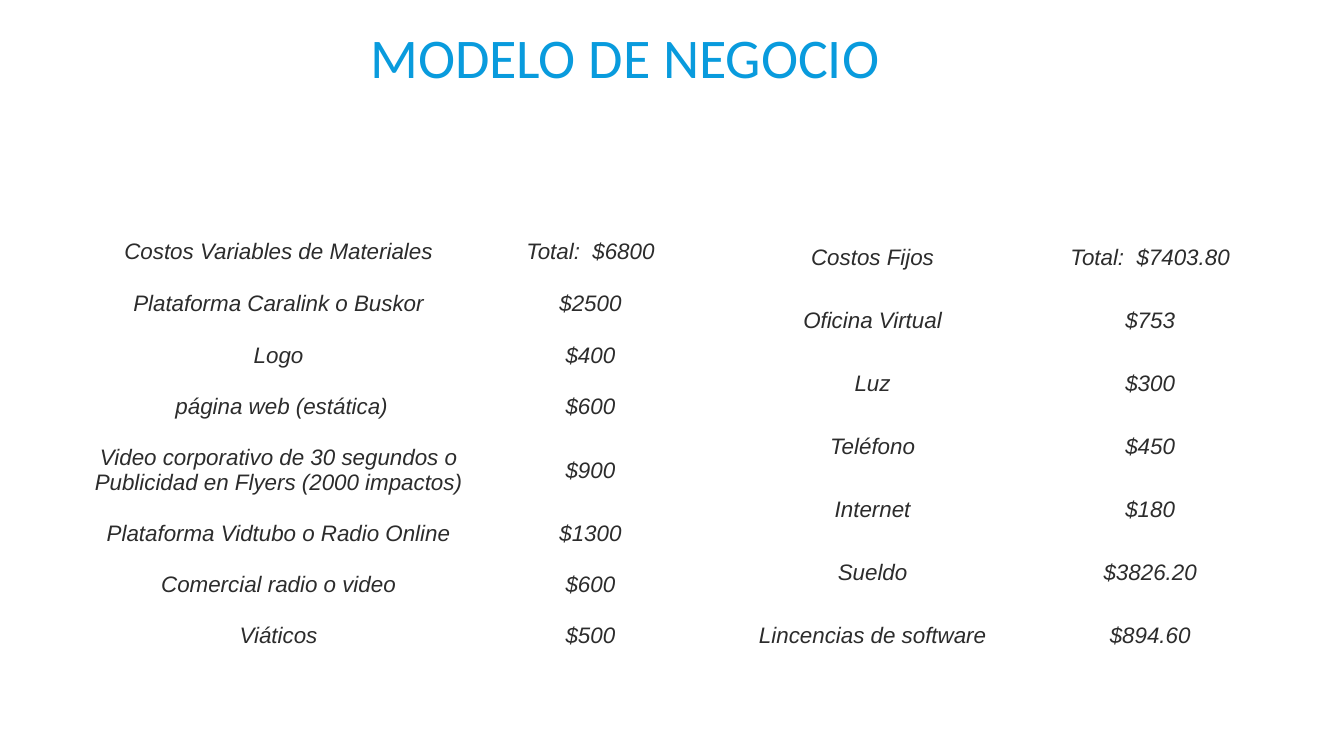
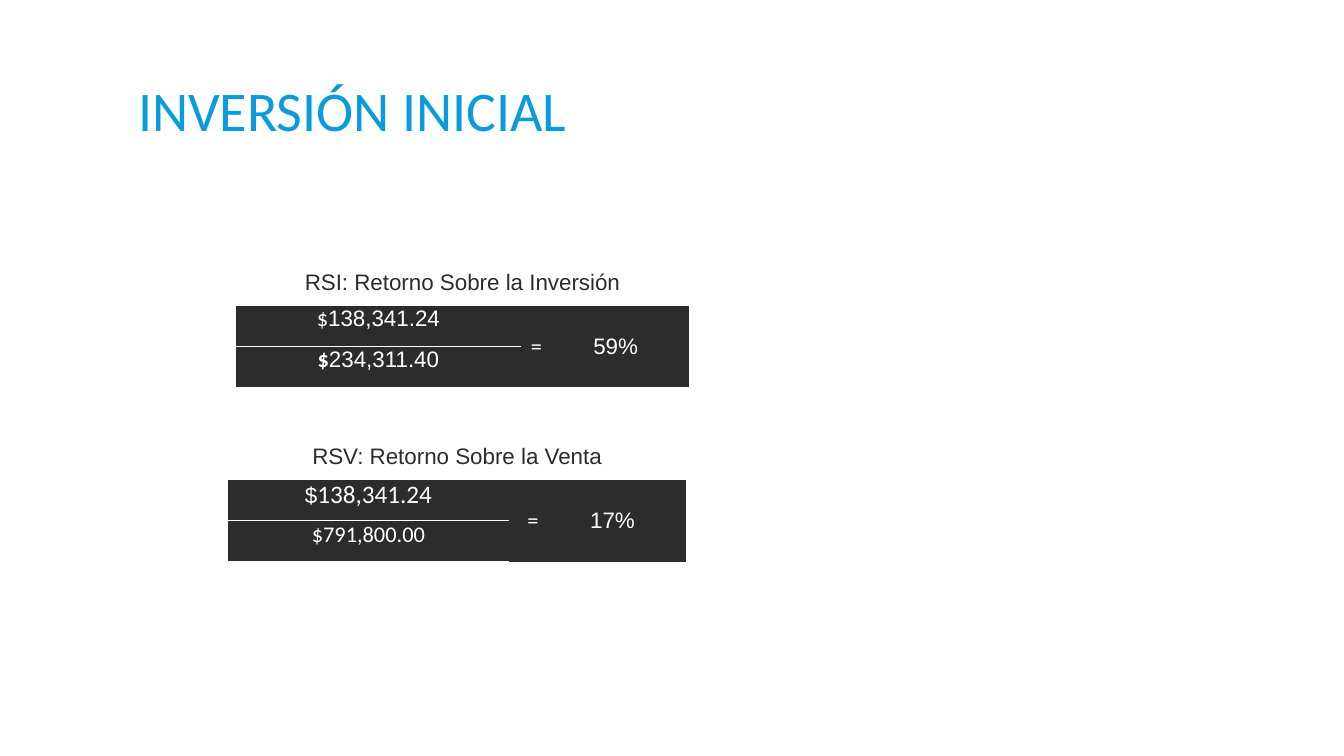
from dataclasses import dataclass

import pptx
import pptx.dml.color
import pptx.enum.text
import pptx.oxml
import pptx.oxml.ns
import pptx.util

Cm = pptx.util.Cm
Pt = pptx.util.Pt
ALIGN = pptx.enum.text.PP_ALIGN
ANCHOR = pptx.enum.text.MSO_ANCHOR

# Shared look
BLUE, DARK, WHITE = "099BDD", "2C2C2C", "FFFFFF"
HEADING_FONT, BODY_FONT = "Calibri", "Arial"
BODY_SIZE = 16
NO_STYLE = "{2D5ABB26-0587-4C30-8999-92F81FD0307C}"


@dataclass(frozen=True)
class Span:
    text: str
    font: str = BODY_FONT
    size: int = BODY_SIZE
    bold: bool = False


@dataclass(frozen=True)
class CellStyle:
    fill: str
    color: str
    italic: bool = False
    opacity: int = 100
    inset: float = 0
    align: ALIGN = ALIGN.CENTER
    anchor: ANCHOR = ANCHOR.MIDDLE


@dataclass(frozen=True)
class CostTable:
    left: float
    columns: list[float]
    heights: list[float]
    rows: list[tuple[str, str]]


@dataclass(frozen=True)
class Ratio:
    left: float
    top: float
    columns: list[float]
    heading: str
    numerator: list[Span]
    denominator: list[Span]
    result: str


COST = CellStyle(WHITE, DARK, italic=True, opacity=50, inset=0.03)
RATIO_HEADING = CellStyle(WHITE, DARK)
RATIO_RESULT = CellStyle(DARK, WHITE)
RATIO_EQUALS = CellStyle(DARK, WHITE, align=ALIGN.RIGHT)
RATIO_AMOUNT = CellStyle(DARK, WHITE, anchor=ANCHOR.TOP)

COST_TOP = 5.69
COSTS = [
    CostTable(1.75, [10.54, 5.18], [1.3, 1.35, 1.27, 1.3, 1.9, 1.27, 1.3, 1.3], [
        ("Costos Variables de Materiales", "Total:  $6800"),
        ("Plataforma Caralink o Buskor", "$2500"),
        ("Logo", "$400"),
        (" página web (estática)", "$600"),
        ("Video corporativo de 30 segundos o Publicidad en Flyers (2000 impactos)", "$900"),
        ("Plataforma Vidtubo o Radio Online", "$1300"),
        ("Comercial radio o video", "$600"),
        ("Viáticos", "$500"),
    ]),
    CostTable(18.03, [7.92, 6.07], [1.59] * 7, [
        ("Costos Fijos", "Total:  $7403.80"),
        ("Oficina Virtual", "$753"),
        ("Luz", "$300"),
        ("Teléfono", "$450"),
        ("Internet", "$180"),
        ("Sueldo", "$3826.20"),
        ("Lincencias de software", "$894.60"),
    ]),
]

RATIO_HEIGHTS = [1.17, 1.03, 1.03]
RATIOS = [
    Ratio(5.94, 6.53, [7.19, 0.53, 3.71], "RSI: Retorno Sobre la Inversión",
          [Span("$", HEADING_FONT), Span("138,341.24")],
          [Span("$", HEADING_FONT, bold=True), Span("234,311.40")], "59%"),
    Ratio(5.74, 10.92, [7.09, 0.74, 3.73], "RSV: Retorno Sobre la Venta",
          [Span("$"), Span("138,341.24", HEADING_FONT, 18)],
          [Span("$791,800.00", HEADING_FONT)], "17%"),
]


def rgb(color: str) -> pptx.dml.color.RGBColor:
    return pptx.dml.color.RGBColor.from_string(color)


def set_font(font, span: Span) -> None:
    font.name, font.size, font.bold = span.font, Pt(span.size), span.bold


def write(para, spans: list[Span], color: str, italic: bool = False) -> None:
    """Set the paragraph font, and run fonts only where the runs differ."""
    set_font(para.font, spans[0])
    para.font.color.rgb = rgb(color)
    para.font.italic = italic
    for span in spans:
        run = para.add_run()
        run.text = span.text
        if len(spans) > 1:
            set_font(run.font, span)


def add_title(page, text: str, left: float, top: float, width: float) -> None:
    box = page.shapes.add_textbox(Cm(left), Cm(top), Cm(width), Cm(4.19))
    frame = box.text_frame
    frame.word_wrap = True
    frame.vertical_anchor = ANCHOR.MIDDLE
    frame.margin_left = frame.margin_right = Cm(0.13)
    frame.margin_top = frame.margin_bottom = Cm(0.13)
    para = frame.paragraphs[0]
    para.line_spacing = 0.85
    write(para, [Span(text, HEADING_FONT, 40)], BLUE)


def add_table(page, left: float, top: float, columns: list[float], heights: list[float]):
    frame = page.shapes.add_table(len(heights), len(columns), Cm(left), Cm(top),
                                  Cm(sum(columns)), Cm(sum(heights)))
    table = frame.table
    table.first_row = table.horz_banding = False
    table._tbl.tblPr.find(pptx.oxml.ns.qn("a:tableStyleId")).text = NO_STYLE
    for column, width in zip(table.columns, columns):
        column.width = Cm(width)
    for row, height in zip(table.rows, heights):
        row.height = Cm(height)
    return table


def fill_cell(cell, spans: list[Span], style: CellStyle, edges: str = "",
              line_width: float = 1) -> None:
    """Edges holds letters in the order L, R, T, B."""
    properties = cell._tc.get_or_add_tcPr()
    for edge in edges:
        properties.append(pptx.oxml.parse_xml(
            f'<a:ln{edge} {pptx.oxml.ns.nsdecls("a")} w="{Pt(line_width)}"><a:solidFill>'
            f'<a:srgbClr val="{WHITE}"/></a:solidFill></a:ln{edge}>'))
    cell.fill.solid()
    cell.fill.fore_color.rgb = rgb(style.fill)
    if style.opacity < 100:
        color = properties.find(".//" + pptx.oxml.ns.qn("a:solidFill") + "[last()]/")
        color = properties.find(pptx.oxml.ns.qn("a:solidFill"))[0]
        color.append(pptx.oxml.parse_xml(
            f'<a:alpha {pptx.oxml.ns.nsdecls("a")} val="{style.opacity * 1000}"/>'))
    cell.margin_left = cell.margin_right = Cm(style.inset)
    cell.margin_top = cell.margin_bottom = Cm(style.inset)
    cell.vertical_anchor = style.anchor
    para = cell.text_frame.paragraphs[0]
    para.alignment = style.align
    write(para, spans, style.color, style.italic)


def add_costs(page, costs: CostTable) -> None:
    table = add_table(page, costs.left, COST_TOP, costs.columns, costs.heights)
    last = len(costs.rows) - 1
    for index, row in enumerate(costs.rows):
        ends = ("T" if index == 0 else "") + ("B" if index == last else "")
        for column, (side, text) in enumerate(zip("LR", row)):
            fill_cell(table.cell(index, column), [Span(text)], COST, side + ends, 2)


def add_ratio(page, ratio: Ratio) -> None:
    table = add_table(page, ratio.left, ratio.top, ratio.columns, RATIO_HEIGHTS)
    table.cell(0, 0).merge(table.cell(0, 2))
    for column in (1, 2):
        table.cell(1, column).merge(table.cell(2, column))
    fill_cell(table.cell(0, 0), [Span(ratio.heading)], RATIO_HEADING, "LRT")
    fill_cell(table.cell(1, 0), ratio.numerator, RATIO_AMOUNT, "LB")
    fill_cell(table.cell(2, 0), ratio.denominator, RATIO_AMOUNT, "LTB")
    fill_cell(table.cell(1, 1), [Span("=", HEADING_FONT)], RATIO_EQUALS)
    fill_cell(table.cell(1, 2), [Span(ratio.result)], RATIO_RESULT)


def main() -> None:
    deck = pptx.Presentation()
    deck.slide_width, deck.slide_height = Cm(33.87), Cm(19.05)
    blank = deck.slide_layouts[6]

    # Business model: variable and fixed costs
    page = deck.slides.add_slide(blank)
    add_title(page, "MODELO DE NEGOCIO", 9.2, -0.56, 15.49)
    for costs in COSTS:
        add_costs(page, costs)

    # Initial investment: return ratios
    page = deck.slides.add_slide(blank)
    add_title(page, "INVERSIÓN INICIAL", 3.35, 0.79, 27.18)
    for ratio in RATIOS:
        add_ratio(page, ratio)

    deck.save("out.pptx")


if __name__ == "__main__":
    main()
